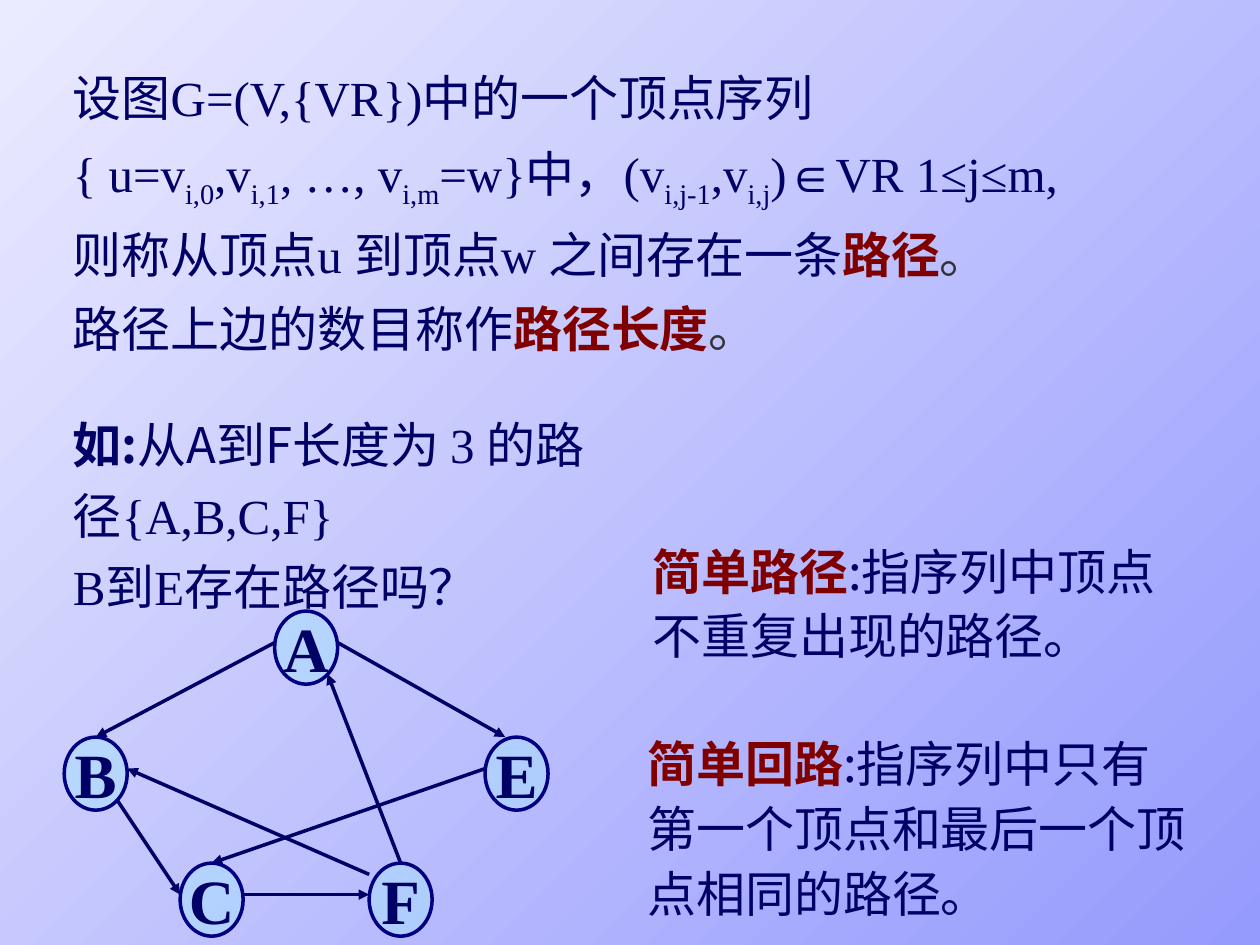
from dataclasses import dataclass

from lxml import etree
from pptx import Presentation
from pptx.dml.color import RGBColor
from pptx.enum.shapes import MSO_CONNECTOR, MSO_SHAPE
from pptx.enum.text import MSO_ANCHOR, PP_ALIGN
from pptx.oxml.ns import qn
from pptx.util import Inches, Pt

STRAIGHT = MSO_CONNECTOR.STRAIGHT
ELLIPSE = MSO_SHAPE.OVAL
MIDDLE = MSO_ANCHOR.MIDDLE
CENTER = PP_ALIGN.CENTER


@dataclass(frozen=True)
class Theme:
    ink: str = "000066"
    term: str = "800000"
    stop: str = "333333"
    node_fill: str = "A7E2FF"
    node_line: str = "000080"
    back_start: str = "EBEBFF"
    back_end: str = "959AFD"
    latin: str = "Times New Roman"
    cjk: str = "Noto Sans CJK SC"
    symbol: str = "Arial"
    body_size: int = 28
    node_size: int = 36
    line_width: int = 2


THEME = Theme()


@dataclass(frozen=True)
class Style:
    font: str = THEME.cjk
    color: str = THEME.ink
    bold: bool = False
    subscript: bool = False
    size: int = THEME.body_size


CJK = Style()
LATIN = Style(THEME.latin)
SUB = Style(THEME.latin, subscript=True)
SYMBOL = Style(THEME.symbol)
LEAD = Style(bold=True)
TERM = Style(color=THEME.term, bold=True)
STOP = Style(color=THEME.stop)
NODE = Style(THEME.latin, bold=True, size=THEME.node_size)

DEFINITION = [
    [("设图G=(V,{VR})中的一个顶点序列", LATIN)],
    [("{ u=v", LATIN), ("i,0", SUB), (",v", LATIN), ("i,1", SUB),
     (", …, v", LATIN), ("i,m", SUB), ("=w}中，(v", LATIN), ("i,j-1", SUB),
     (",v", LATIN), ("i,j", SUB), (")", LATIN), ("∈", SYMBOL),
     ("VR 1≤j≤m,", LATIN)],
    [("则称从顶点", CJK), ("u ", LATIN), ("到顶点", CJK), ("w ", LATIN),
     ("之间存在一条", CJK), ("路径", TERM), ("。", STOP)],
    [("路径上边的数目称作", CJK), ("路径长度", TERM), ("。", STOP)],
]
EXAMPLE = [
    [("如:", LEAD), ("从A到F长度为 ", CJK), ("3 ", LATIN),
     ("的路径", CJK), ("{A,B,C,F}", LATIN)],
    [("B到E存在路径吗？", LATIN)],
]
SIMPLE_PATH = [[("简单路径", TERM), (":指序列中顶点不重复出现的路径。", CJK)]]
SIMPLE_CYCLE = [[("简单回路", TERM),
                 (":指序列中只有第一个顶点和最后一个顶点相同的路径。", CJK)]]

NODE_W, NODE_H = 0.5, 0.58
NODES = {"A": (2.18, 4.85), "B": (0.51, 5.85), "E": (3.85, 5.85),
         "C": (1.43, 6.85), "F": (2.93, 6.85)}

# Where an edge touches a node, measured from the node's top left corner
LEFT, RIGHT, TOP = (0, 0.25), (0.5, 0.25), (0.25, 0)
LOWER_RIGHT, TOP_LEFT, UPPER_LEFT = (0.42, 0.5), (0.16, 0), (0, 0.09)
EDGES = [
    ("A", LEFT, "B", TOP),
    ("B", LOWER_RIGHT, "C", LEFT),
    ("C", RIGHT, "F", LEFT),
    ("F", TOP, "A", LOWER_RIGHT),
    ("A", RIGHT, "E", TOP_LEFT),
    ("F", UPPER_LEFT, "B", RIGHT),
    ("E", LEFT, "C", TOP),
]


def rgb(color):
    return RGBColor.from_string(color)


def add_run(paragraph, text, style):
    run = paragraph.add_run()
    run.text = text
    font = run.font
    font.size = Pt(style.size)
    font.bold = style.bold
    font.color.rgb = rgb(style.color)
    font.name = style.font
    properties = run._r.get_or_add_rPr()
    etree.SubElement(properties, qn("a:ea")).set("typeface", THEME.cjk)
    if style.subscript:
        properties.set("baseline", "-25000")


def add_text(slide, box, paragraphs, spacing):
    frame = slide.shapes.add_textbox(*map(Inches, box)).text_frame
    frame.word_wrap = True
    for index, runs in enumerate(paragraphs):
        paragraph = frame.add_paragraph() if index else frame.paragraphs[0]
        paragraph.line_spacing = spacing
        for text, style in runs:
            add_run(paragraph, text, style)


def port(name, offset):
    return [Inches(a + b) for a, b in zip(NODES[name], offset)]


def add_edge(graph, source, leave, target, enter):
    edge = graph.shapes.add_connector(
        STRAIGHT, *port(source, leave), *port(target, enter))
    edge.line.color.rgb = rgb(THEME.ink)
    edge.line.width = Pt(THEME.line_width)
    etree.SubElement(edge.line._get_or_add_ln(),
                     qn("a:tailEnd")).set("type", "triangle")
    etree.SubElement(edge._element.spPr, qn("a:effectLst"))


def add_node(graph, name):
    node = graph.shapes.add_shape(
        ELLIPSE, *port(name, (0, 0)), Inches(NODE_W), Inches(NODE_H))
    node.shadow.inherit = False
    node.fill.solid()
    node.fill.fore_color.rgb = rgb(THEME.node_fill)
    color = node._element.spPr.find(qn("a:solidFill"))[0]
    etree.SubElement(color, qn("a:alpha")).set("val", "50000")
    node.line.color.rgb = rgb(THEME.node_line)
    node.line.width = Pt(THEME.line_width)
    frame = node.text_frame
    frame.word_wrap = False
    frame.vertical_anchor = MIDDLE
    label = frame.paragraphs[0]
    label.alignment = CENTER
    add_run(label, name, NODE)


def add_graph(slide):
    graph = slide.shapes.add_group_shape()
    for edge in EDGES:
        add_edge(graph, *edge)
    for name in NODES:
        add_node(graph, name)


def paint_background(slide):
    fill = slide.background.fill
    fill.gradient()
    fill.gradient_angle = 315
    for stop, color in zip(fill.gradient_stops,
                           (THEME.back_start, THEME.back_end)):
        stop.color.rgb = rgb(color)


def main():
    deck = Presentation()
    deck.slide_width, deck.slide_height = Inches(10), Inches(7.5)
    slide = deck.slides.add_slide(deck.slide_layouts.get_by_name("Blank"))
    paint_background(slide)
    add_text(slide, (0.48, 0.37, 9.33, 2.52), DEFINITION, 1.25)
    add_graph(slide)
    add_text(slide, (0.48, 3.15, 4.52, 1.78), EXAMPLE, 1.2)
    add_text(slide, (5.08, 4.2, 4.57, 1.13), SIMPLE_PATH, 1.1)
    add_text(slide, (5.04, 5.73, 4.5, 1.64), SIMPLE_CYCLE, 1.1)
    deck.save("out.pptx")


if __name__ == "__main__":
    main()
